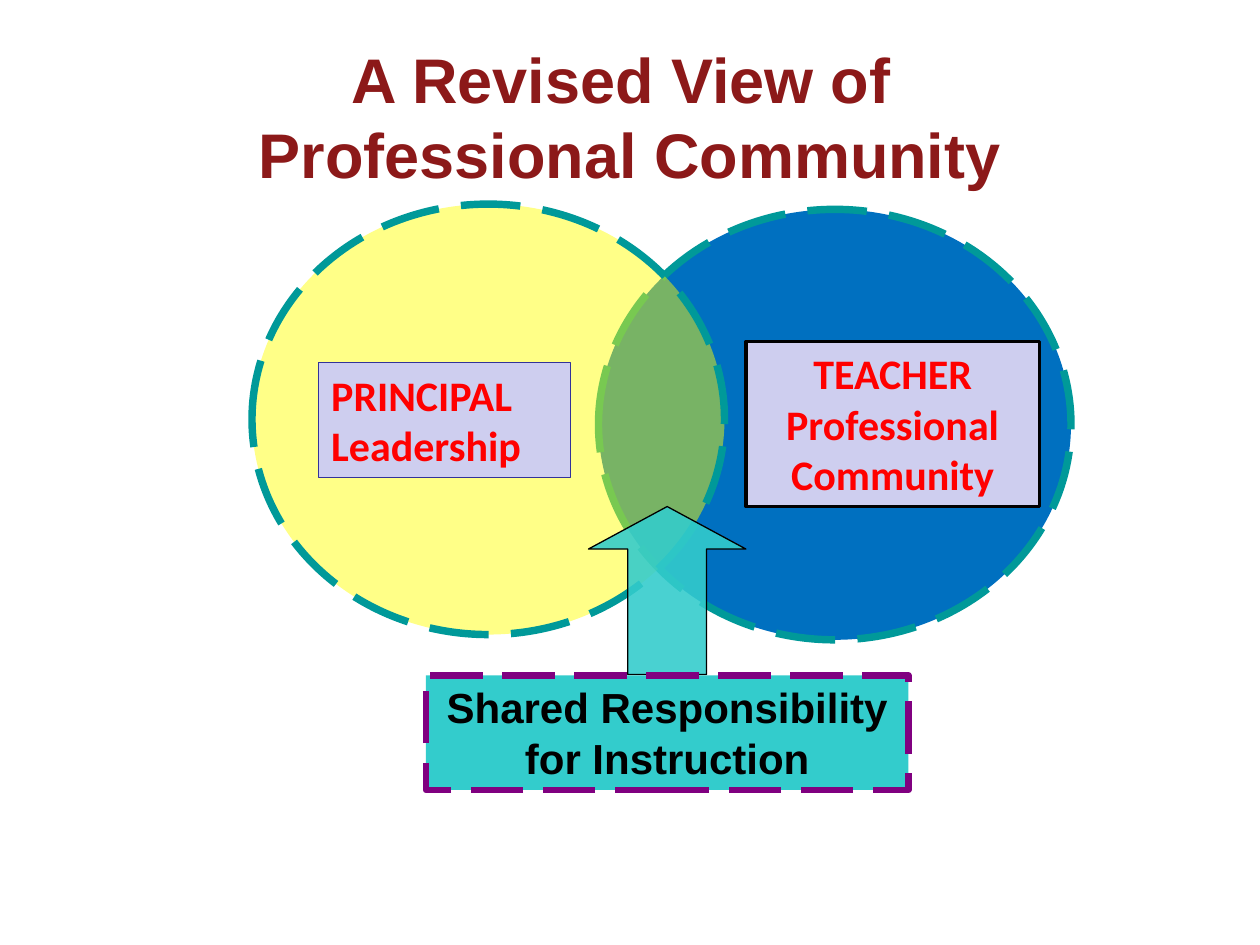
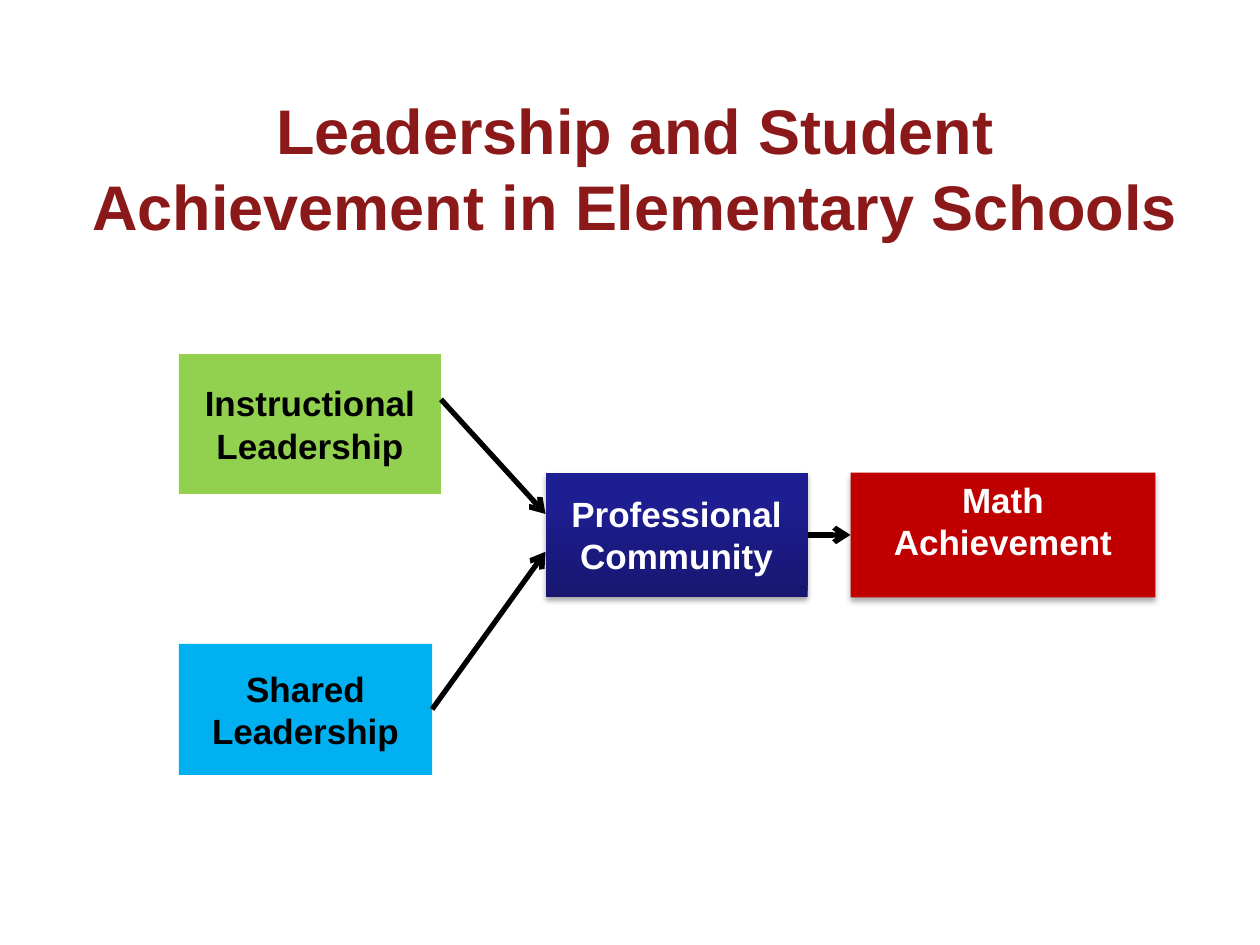
from lxml import etree
from pptx import Presentation
from pptx.dml.color import RGBColor
from pptx.enum import dml, shapes, text
from pptx.oxml.ns import qn
from pptx.util import Pt

HUES = {
    "title": "8C1919", "black": "000000", "white": "FFFFFF", "red": "FF0000",
    "blue": "0070C0", "yellow": "FFFF00", "rim": "009999", "lilac": "CECEEF",
    "navy": "333399", "teal": "33CCCC", "purple": "800080", "lime": "92D050",
    "sky": "00B0F0", "crimson": "C00000", "deep": "171771", "indigo": "1E1E93",
}
KIND = shapes.MSO_SHAPE
MID = text.MSO_ANCHOR.MIDDLE
TOP = text.MSO_ANCHOR.TOP
LEFT = text.PP_ALIGN.LEFT
MAIN = text.PP_ALIGN.CENTER
DASH = dml.MSO_LINE.LONG_DASH


def hue(name):
    return RGBColor.from_string(HUES[name])


def put(item, **values):
    for name, value in values.items():
        setattr(item, name, value)


def write(shape, lines, size, color, font="Arial", align=MAIN, anchor=TOP):
    frame = shape.text_frame
    put(frame, text="\n".join(lines), word_wrap=True,
        auto_size=text.MSO_AUTO_SIZE.NONE, vertical_anchor=anchor)
    for para in frame.paragraphs:
        para.alignment = align
        for run in para.runs:
            put(run.font, name=font, size=Pt(size), bold=True)
            run.font.color.rgb = hue(color)


def head(deck, words, box):
    slide = deck.slides.add_slide(deck.slide_layouts[5])
    left, top, width, height = map(Pt, box)
    put(slide.shapes.title, left=left, top=top, width=width, height=height)
    write(slide.shapes.title, [words], 36, "title", anchor=MID)
    return slide


def draw(slide, base, kind, box, fill, line=None, alpha=None):
    left, top, width, height = box
    shape = slide.shapes.add_shape(
        kind, Pt(base[0] + left), Pt(base[1] + top), Pt(width), Pt(height))
    shape.shadow.inherit = False
    shape.fill.solid()
    shape.fill.fore_color.rgb = hue(fill)
    if alpha:
        tint = shape.fill._xPr.find(".//" + qn("a:srgbClr"))
        etree.SubElement(tint, qn("a:alpha"), val=str(alpha * 1000))
    if line:
        color, width, dash = line
        shape.line.color.rgb = hue(color)
        put(shape.line, width=Pt(width), dash_style=dash)
    else:
        shape.line.fill.background()
    return shape


def shade(shape, alpha, blur, dist):
    glow = shape._element.spPr.find(qn("a:effectLst"))
    cast = etree.SubElement(
        glow, qn("a:outerShdw"), blurRad=str(Pt(blur)), dist=str(Pt(dist)),
        dir="5400000", rotWithShape="0")
    tint = etree.SubElement(cast, qn("a:srgbClr"), val=HUES["black"])
    etree.SubElement(tint, qn("a:alpha"), val=str(alpha * 1000))


def link(slide, base, start, end):
    x, y = base
    line = slide.shapes.add_connector(
        shapes.MSO_CONNECTOR.STRAIGHT, Pt(x + start[0]), Pt(y + start[1]),
        Pt(x + end[0]), Pt(y + end[1]))
    line.line.color.rgb = hue("black")
    line.line.width = Pt(3)
    etree.SubElement(line.line._get_or_add_ln(), qn("a:tailEnd"), type="arrow")
    etree.SubElement(line._element.spPr, qn("a:effectLst"))
    return line


def venn(slide, base):
    rim = ("rim", 4.25, DASH)
    draw(slide, base, KIND.OVAL, (198, 3, 270, 246), "blue", rim)
    staff = draw(slide, base, KIND.RECTANGLE, (282.24, 78.5, 167.76, 94.3),
                 "lilac", ("black", 2, None))
    write(staff, ["TEACHER", "Professional Community"], 24, "red", "Calibri")
    draw(slide, base, KIND.OVAL, (0, 0, 270, 246), "yellow", rim, 47)
    arrow = draw(slide, base, KIND.UP_ARROW, (192.24, 172.8, 90, 96),
                 "teal", ("black", 0.75, None), 89)
    arrow.adjustments[0] = 0.5
    arrow.adjustments[1] = 0.27
    chief = draw(slide, base, KIND.RECTANGLE, (38.2, 90.7, 144, 65.5),
                 "lilac", ("navy", 0.75, None))
    write(chief, ["PRINCIPAL", "Leadership"], 24, "red", "Calibri", LEFT)
    both = draw(slide, base, KIND.RECTANGLE, (99.4, 269.3, 275.76, 65.5),
                "teal", ("purple", 3.75, DASH))
    write(both, ["Shared Responsibility for Instruction"], 24, "black")


def flow(slide, base):
    cards = [
        ("Instructional", "Leadership", (0, 0, 149.76, 79.9), "lime", "black", MID),
        ("Shared", "Leadership", (0, 165.6, 144.7, 74.9), "sky", "black", MID),
        ("Professional", "Community", (209.5, 67.7, 149.76, 71.3), "indigo", "white", MID),
        ("Math", "Achievement", (383.76, 67.7, 174.24, 71.3), "crimson", "white", TOP),
    ]
    made = []
    for first, second, box, fill, ink, anchor in cards:
        card = draw(slide, base, KIND.RECTANGLE, box, fill)
        write(card, [first, second], 20, ink, anchor=anchor)
        made.append(card)
    group, goal = made[2:]
    group.fill.gradient()
    group.fill.gradient_angle = 90
    for stop, name, place in zip(group.fill.gradient_stops, ("deep", "indigo"), (0, 0.8)):
        stop.color.rgb = hue(name)
        stop.position = place
    shade(group, 35, 3.1, 1.8)
    shade(goal, 32, 3.5, 2.2)
    link(slide, base, (149.76, 25.9), (209.5, 91.4))
    link(slide, base, (144.7, 203), (209.5, 113))
    last = link(slide, base, (359.3, 103.3), (383.76, 103.3))
    last.begin_connect(group, 3)
    last.end_connect(goal, 1)


def main():
    deck = Presentation()
    put(deck, slide_width=Pt(720), slide_height=Pt(540))
    venn(head(deck, "A Revised View of \vProfessional Community",
              (54, 30.24, 612, 72)), (144, 116.64))
    flow(head(deck, "Leadership and Student Achievement in Elementary Schools",
              (36, 26.64, 653.76, 138.24)), (102.24, 202.32))
    deck.save("out.pptx")


if __name__ == "__main__":
    main()
